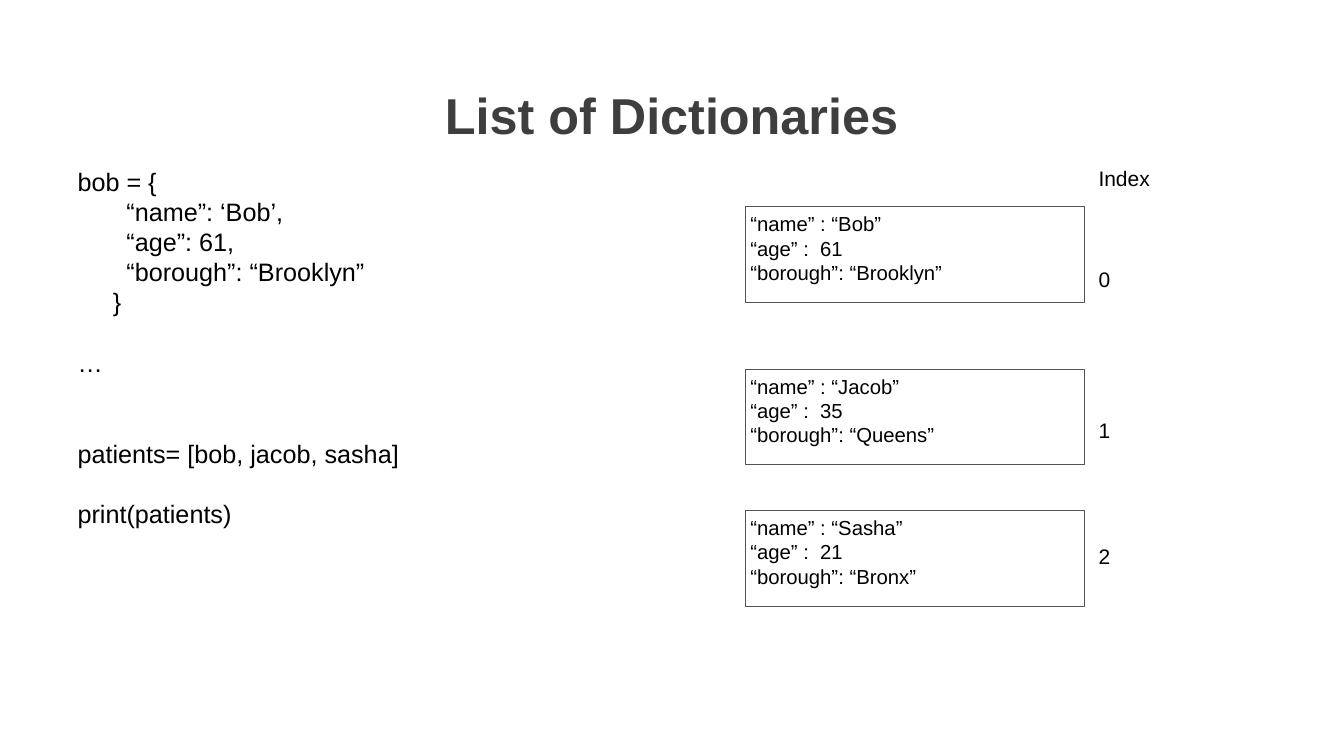
from pptx import Presentation
from pptx.dml.color import RGBColor
from pptx.enum.shapes import MSO_SHAPE
from pptx.enum.text import MSO_ANCHOR, MSO_AUTO_SIZE, PP_ALIGN
from pptx.util import Inches, Pt

# Content
TITLE = "List of Dictionaries"
# Each line: text, left indent in inches, empty lines above
CODE = [
    ("bob = {", 0, 0),
    ("“name”: ‘Bob’,", 0.97, 0),
    ("“age”: 61,", 0.97, 0),
    ("“borough”: “Brooklyn”", 0.97, 0),
    ("}", 0.7, 0),
    ("…", 0, 1),
    ("patients= [bob, jacob, sasha]", 0, 2),
    ("print(patients)", 0, 1),
]
INDEX = [("Index", 0, 0), ("0", 0, 3), ("1", 0, 5), ("2", 0, 4)]
# Each patient: name, age, borough, top of the box
PATIENTS = [
    ("Bob", 61, "Brooklyn", 4.1),
    ("Jacob", 35, "Queens", 7.32),
    ("Sasha", 21, "Bronx", 10.12),
]
COLORS = {"title": "3E3E3E", "text": "000000", "border": "535353"}
FONT = "Arial"
LEADING = 1.2


def color(name):
    return RGBColor.from_string(COLORS[name])


def set_frame(tf, anchor=MSO_ANCHOR.TOP):
    tf.word_wrap = True
    tf.auto_size = MSO_AUTO_SIZE.NONE
    tf.vertical_anchor = anchor
    tf.margin_left = tf.margin_right = Inches(0.1)
    tf.margin_top = tf.margin_bottom = Inches(0.1)


def add_run(p, text, size, fill="text", bold=False):
    r = p.add_run()
    r.text = text
    r.font.name = FONT
    r.font.size = Pt(size)
    r.font.bold = bold
    r.font.color.rgb = color(fill)


def write_lines(tf, lines, size):
    set_frame(tf)
    pitch = LEADING * size
    for i, (text, indent, gap) in enumerate(lines):
        p = tf.paragraphs[0] if i == 0 else tf.add_paragraph()
        p.alignment = PP_ALIGN.LEFT
        p.line_spacing = Pt(pitch)
        p.space_before = Pt(gap * pitch)
        if indent:
            pPr = p._p.get_or_add_pPr()
            pPr.set("marL", str(Inches(indent)))
            pPr.set("indent", "0")
        add_run(p, text, size)


prs = Presentation()
prs.slide_width, prs.slide_height = Inches(26.67), Inches(15)
s = prs.slides.add_slide(prs.slide_layouts[5])

# Title
title = s.shapes.title
title.left, title.top = Inches(2.88), Inches(1.35)
title.width, title.height = Inches(20.9), Inches(1.83)
set_frame(title.text_frame, MSO_ANCHOR.MIDDLE)
p = title.text_frame.paragraphs[0]
p.alignment = PP_ALIGN.CENTER
add_run(p, TITLE, 72, "title", bold=True)

# Patient boxes
for name, age, borough, top in PATIENTS:
    box = s.shapes.add_shape(MSO_SHAPE.RECTANGLE, Inches(14.79), Inches(top),
                             Inches(6.73), Inches(1.9))
    box.shadow.inherit = False
    box.fill.background()
    box.line.color.rgb = color("border")
    box.line.width = Pt(0.75)
    entries = [f"“name” : “{name}”", f"“age” :  {age}", f"“borough”: “{borough}”"]
    write_lines(box.text_frame, [(entry, 0, 0) for entry in entries], 29)

# Code and index columns
for lines, size, at in [
    (CODE, 36, (1.44, 3.19, 15.32, 7.47)),
    (INDEX, 30, (21.7, 3.18, 4.71, 8.28)),
]:
    column = s.shapes.add_textbox(*map(Inches, at))
    write_lines(column.text_frame, lines, size)

prs.save("out.pptx")
